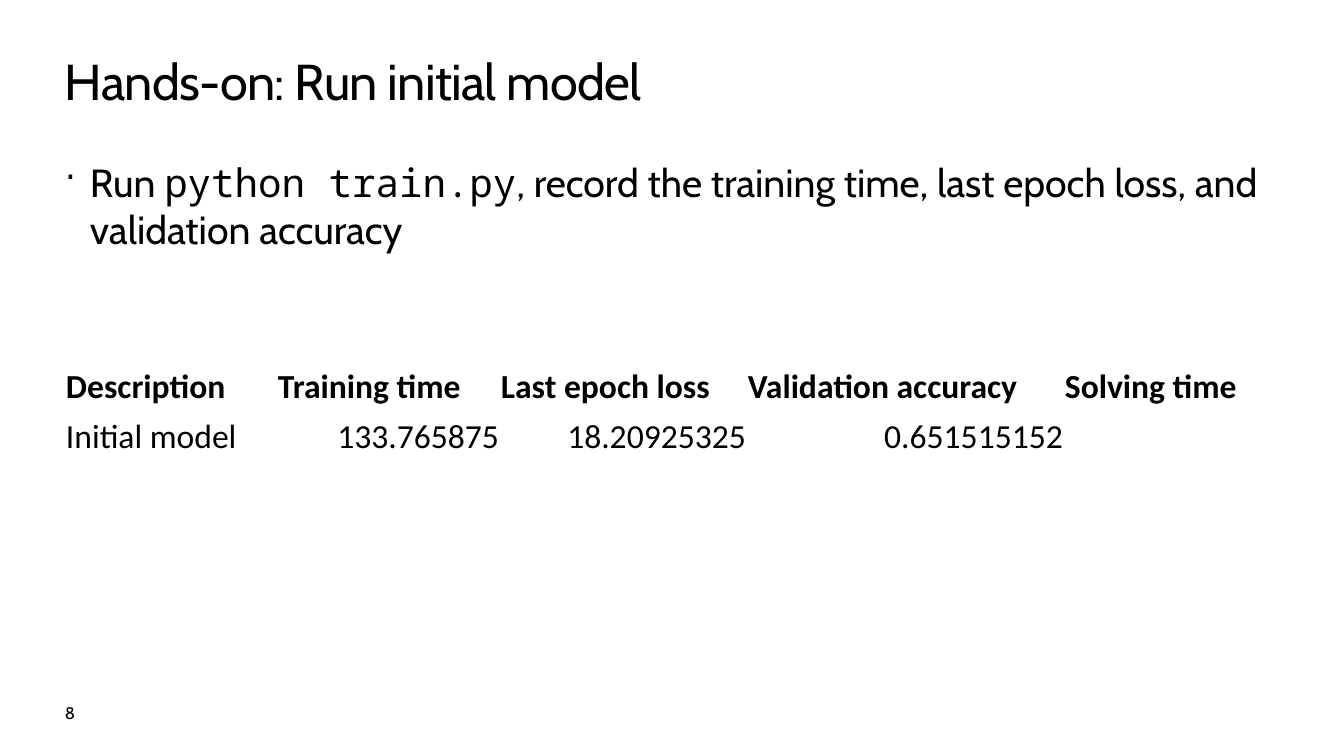
from dataclasses import dataclass

from lxml import etree
from pptx import Presentation
from pptx.dml.color import RGBColor
from pptx.enum.text import MSO_ANCHOR, MSO_AUTO_SIZE, PP_ALIGN
from pptx.oxml.ns import qn
from pptx.slide import Slide
from pptx.text.text import _Paragraph, _Run
from pptx.util import Emu, Pt

BOTTOM = MSO_ANCHOR.BOTTOM
GROW = MSO_AUTO_SIZE.SHAPE_TO_FIT_TEXT
LEFT, RIGHT = PP_ALIGN.LEFT, PP_ALIGN.RIGHT
EMU_PER_PX = 914400 / 100.8
COLORS = {"text": "000000", "background": "FFFFFF"}
TEXT_FONT, CODE_FONT, TABLE_FONT = "Cabin", "Noto Sans Mono", "Calibri"

MARGIN_LEFT = 65
CONTENT_WIDTH = 1215
TABLE_TOP, ROW_HEIGHT = 358, 50
COLUMN_WIDTHS = (212, 223, 247, 317, 216)
TABLE_ROWS = (
    ("Description", "Training time", "Last epoch loss", "Validation accuracy", "Solving time"),
    ("Initial model", "133.765875", "18.20925325", "0.651515152", ""),
)


@dataclass(frozen=True)
class Piece:
    text: str
    font: str = TEXT_FONT


@dataclass(frozen=True)
class TextBlock:
    pieces: tuple[Piece, ...]
    top: int
    width: int
    height: int
    size: int
    spacing: int = 0
    bullet: str = ""


TEXT_BLOCKS = (
    TextBlock((Piece("8"),), 703, 194, 20, 12),
    TextBlock((Piece("Hands-on: Run initial model"),), 50, CONTENT_WIDTH, 61, 36, spacing=-50),
    TextBlock(
        (
            Piece("Run "),
            Piece("python train.py", CODE_FONT),
            Piece(", record the training time, last epoch loss, and validation accuracy"),
        ),
        158, CONTENT_WIDTH, 95, 28, bullet="·",
    ),
)


def px(length: int) -> Emu:
    return Emu(round(length * EMU_PER_PX))


def format_run(run: _Run, font: str, size: int, bold: bool = False) -> None:
    run.font.name = font
    run.font.size = Pt(size)
    run.font.bold = bold
    run.font.color.rgb = RGBColor.from_string(COLORS["text"])


def add_bullet(paragraph: _Paragraph, character: str) -> None:
    properties = paragraph._p.get_or_add_pPr()
    properties.set("marL", str(px(25)))
    properties.set("indent", str(px(-25)))
    etree.SubElement(properties, qn("a:buSzPct")).set("val", "90000")
    etree.SubElement(properties, qn("a:buChar")).set("char", character)


def add_text_block(slide: Slide, block: TextBlock) -> None:
    shape = slide.shapes.add_textbox(
        px(MARGIN_LEFT), px(block.top), px(block.width), px(block.height)
    )
    frame = shape.text_frame
    frame.word_wrap = True
    frame.auto_size = GROW
    frame.margin_left = frame.margin_right = frame.margin_top = frame.margin_bottom = 0
    paragraph = frame.paragraphs[0]
    if block.bullet:
        add_bullet(paragraph, block.bullet)
    for piece in block.pieces:
        run = paragraph.add_run()
        run.text = piece.text
        format_run(run, piece.font, block.size)
        if block.spacing:
            run.font._element.set("spc", str(block.spacing))


def add_results_table(slide: Slide) -> None:
    table = slide.shapes.add_table(
        len(TABLE_ROWS), len(COLUMN_WIDTHS), px(MARGIN_LEFT), px(TABLE_TOP),
        px(CONTENT_WIDTH), px(ROW_HEIGHT * len(TABLE_ROWS)),
    ).table
    table.first_row = table.horz_banding = False
    for column, width in zip(table.columns, COLUMN_WIDTHS):
        column.width = px(width)
    for row_index, values in enumerate(TABLE_ROWS):
        for column_index, value in enumerate(values):
            cell = table.cell(row_index, column_index)
            cell.vertical_anchor = BOTTOM
            cell.margin_left = cell.margin_right = cell.margin_top = px(1)
            cell.margin_bottom = 0
            cell.text_frame.text = value
            paragraph = cell.text_frame.paragraphs[0]
            paragraph.alignment = RIGHT if row_index and column_index else LEFT
            for run in paragraph.runs:
                format_run(run, TABLE_FONT, 24, bold=row_index == 0)
            properties = cell._tc.get_or_add_tcPr()
            for edge in ("a:lnL", "a:lnR", "a:lnT", "a:lnB"):
                line = etree.SubElement(properties, qn(edge))
                etree.SubElement(line, qn("a:noFill"))
            cell.fill.background()


def main() -> None:
    presentation = Presentation()
    presentation.slide_width, presentation.slide_height = px(1344), px(756)
    slide = presentation.slides.add_slide(presentation.slide_layouts[6])
    slide.background.fill.solid()
    slide.background.fill.fore_color.rgb = RGBColor.from_string(COLORS["background"])
    for block in TEXT_BLOCKS:
        add_text_block(slide, block)
    add_results_table(slide)
    presentation.save("out.pptx")


if __name__ == "__main__":
    main()
